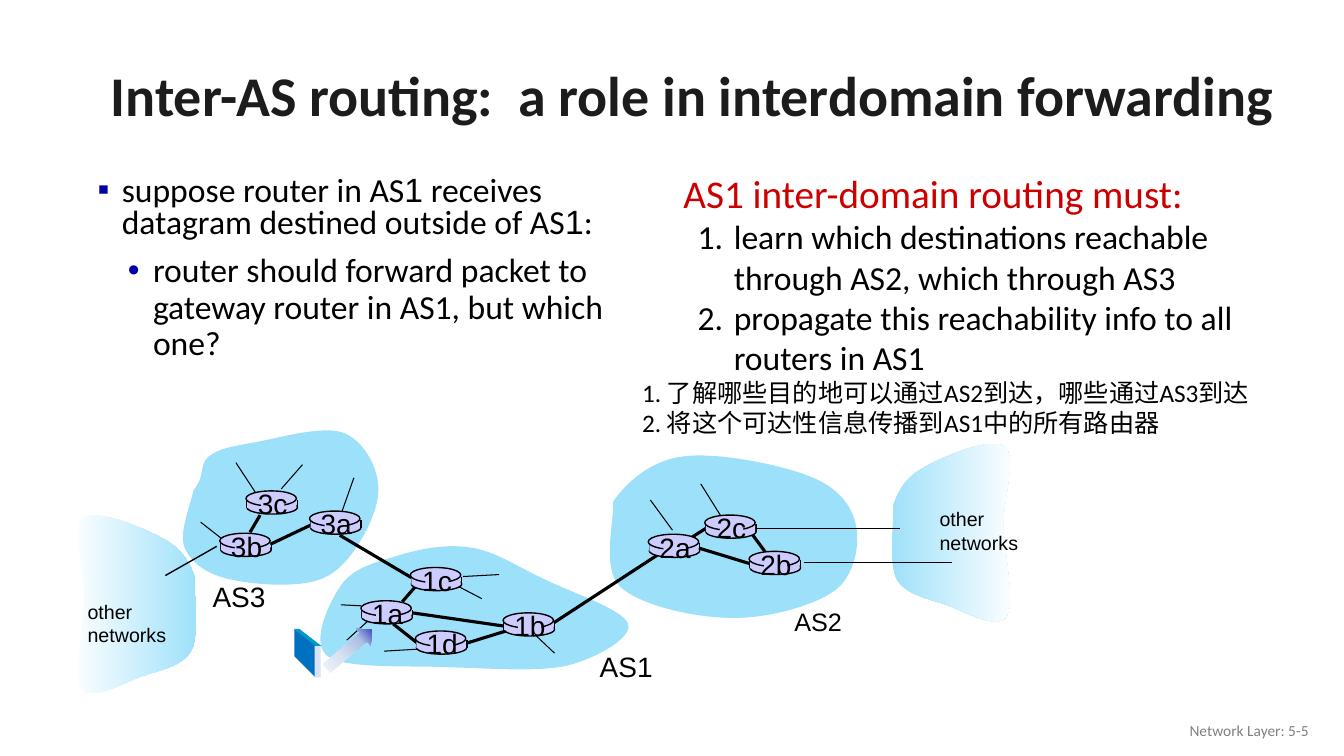
from dataclasses import dataclass
from typing import NamedTuple

from lxml.etree import SubElement as sub
from pptx import Presentation
from pptx.dml.color import RGBColor as Rgb
from pptx.enum.shapes import MSO_CONNECTOR as Joint, MSO_SHAPE as Kind
from pptx.enum.text import MSO_ANCHOR as Anchor, MSO_AUTO_SIZE as Fit, PP_ALIGN as Align
from pptx.oxml.ns import qn
from pptx.util import Inches, Pt

# Grid: 75 rows on the slide, with square cells
WIDE, HIGH = Inches(13.33), Inches(7.5)
CELL = HIGH / 75


@dataclass(frozen=True)
class Theme:
    sans: str = "Calibri"
    plain: str = "Arial"
    ink: str = "000000"
    head: str = "1C1C1C"
    grey: str = "808080"
    red: str = "CC0000"
    navy: str = "0000A3"
    deep: str = "0000A8"
    sky: str = "9CE0FA"
    white: str = "FFFFFF"
    lilac: str = "CCCCFF"
    blue: str = "0070C0"
    teal: str = "0099CC"
    pale: str = "DAE3F3"
    title: int = 40
    lead: int = 28
    body: int = 24
    tag: int = 20
    note: int = 18
    small: int = 14
    foot: int = 11


T = Theme()


class Box(NamedTuple):
    x: float
    y: float
    w: float
    h: float


class Router(NamedTuple):
    name: str
    x: float
    y: float


class Link(NamedTuple):
    x1: float
    y1: float
    x2: float
    y2: float


class Label(NamedTuple):
    lines: tuple
    box: Box
    size: int


class Cloud(NamedTuple):
    start: tuple
    curves: tuple  # x and y of two handles and an end point


def cells(*nums: float) -> list:
    return [round(n * CELL) for n in nums]


# Text
def write(frame, *runs: str, size=T.body, face=T.sans, alt=T.plain, color=T.ink,
          bold=False, align=Align.LEFT, space=None, left=0.0, hang=0.0,
          mark=None, tint=None) -> None:
    """Add one paragraph; every second run takes the alt face."""
    par = frame.paragraphs[0]
    if par.runs:
        par = frame.add_paragraph()
    props = par._p.get_or_add_pPr()
    if left:
        props.set("marL", str(cells(left)[0]))
        props.set("indent", str(cells(-hang)[0]))
    if tint:
        sub(sub(props, qn("a:buClr")), qn("a:srgbClr"), val=tint)
    if mark == "1.":
        sub(props, qn("a:buFont"), typeface="+mj-lt")
        sub(props, qn("a:buAutoNum"), type="arabicPeriod")
    elif mark:
        sub(props, qn("a:buFont"), typeface=T.plain)
        sub(props, qn("a:buChar"), char=mark)
    par.alignment = align
    if space:
        par.line_spacing = space
    for i, words in enumerate(runs):
        run = par.add_run()
        run.text = words
        font = run.font
        font.name = alt if i % 2 else face
        font.size, font.bold = Pt(size), bold
        font.color.rgb = Rgb.from_string(color)


def frame(slide, box: Box, wrap=True, grow=True, anchor=Anchor.TOP):
    body = slide.shapes.add_textbox(*cells(*box)).text_frame
    body.word_wrap = wrap
    body.auto_size = Fit.SHAPE_TO_FIT_TEXT if grow else Fit.NONE
    body.vertical_anchor = anchor
    return body


# Shapes
def strip(shape) -> None:
    """Drop the theme style, as fill and line are set in full."""
    style = shape._element.find(qn("p:style"))
    if style is not None:
        shape._element.remove(style)


def paint(shape, fill: str, edge: bool = False) -> None:
    strip(shape)
    shape.shadow.inherit = False
    shape.fill.solid()
    shape.fill.fore_color.rgb = Rgb.from_string(fill)
    if edge:
        shape.line.color.rgb = Rgb.from_string(T.ink)
        shape.line.width = Pt(1)
    else:
        shape.line.fill.background()


def blend(shape, *stops: tuple) -> None:
    paint(shape, T.white)
    shape.fill.gradient()
    shape.fill.gradient_angle = 0
    ramp = shape._element.spPr.find(qn("a:gradFill")).find(qn("a:gsLst"))
    ramp.clear()
    for pos, color in stops:
        sub(sub(ramp, qn("a:gs"), pos=str(pos * 1000)), qn("a:srgbClr"), val=color)


def solid(slide, kind, box: Box, fill: str, edge: bool = False):
    shape = slide.shapes.add_shape(kind, *cells(*box))
    paint(shape, fill, edge)
    return shape


def draw(slide, link: Link, width: float) -> None:
    line = slide.shapes.add_connector(Joint.STRAIGHT, *cells(*link))
    strip(line)
    line.line.color.rgb = Rgb.from_string(T.ink)
    line.line.width = Pt(width)
    sub(line._element.spPr, qn("a:effectLst"))


def outline(slide, points: list):
    pen = slide.shapes.build_freeform(*cells(*points[0]), scale=1.0)
    pen.add_line_segments([cells(*p) for p in points[1:]], close=True)
    return pen.convert_to_shape()


def knots(cloud: Cloud) -> list:
    return [cloud.start] + [c[i:i + 2] for c in cloud.curves for i in (0, 2, 4)]


def bend(slide, points: list):
    """Turn each three points after the first into one curve."""
    shape = outline(slide, points)
    legs = list(shape._element.iter(qn("a:lnTo")))
    for i in range(0, len(legs), 3):
        first, *rest = legs[i:i + 3]
        first.tag = qn("a:cubicBezTo")
        for leg in rest:
            first.append(leg[0])
            leg.getparent().remove(leg)
    return shape


def node(slide, spot: Router) -> None:
    name, x, y = spot
    solid(slide, Kind.OVAL, Box(x, y, 5, 1.3), T.lilac, True)
    for side in (x, x + 5):
        draw(slide, Link(side, y - 0.1, side, y + 0.7), 1)
    solid(slide, Kind.RECTANGLE, Box(x, y - 0.1, 4.9, 0.8), T.lilac)
    solid(slide, Kind.OVAL, Box(x - 0.1, y - 1, 5, 1.5), T.lilac, True)
    solid(slide, Kind.RECTANGLE, Box(x + 1.4, y - 0.8, 2.3, 1.9), T.lilac)
    write(frame(slide, Box(x, y - 1.9, 5.1, 4.3), wrap=False), name,
          size=T.tag, face=T.plain, align=Align.CENTER)


CLOUDS = (
    Cloud((60.8, 49.8), (
        (62.1, 47.9, 64.5, 45.7, 67.7, 45.3), (71, 44.8, 77.5, 46.1, 80.4, 47.3),
        (83.2, 48.4, 84.5, 50.2, 84.9, 52.1), (85.3, 54, 84.8, 57.1, 82.8, 58.6),
        (80.7, 60.1, 76.1, 61.4, 72.5, 61.3), (69, 61.3, 63.5, 60.1, 61.5, 58.2),
        (59.6, 56.3, 61, 51.5, 60.8, 49.8))),
    Cloud((19.2, 48.6), (
        (20.4, 47.3, 19.7, 46.1, 20.7, 45.3), (21.7, 44.5, 23, 44.3, 25.2, 43.9),
        (27.5, 43.5, 32.2, 42.1, 34.2, 43), (36.3, 43.9, 37.8, 46.9, 37.5, 49.2),
        (37.2, 51.6, 35, 55.7, 32.6, 57.1), (30.2, 58.5, 25.2, 58, 22.9, 57.5),
        (20.5, 57, 18.9, 55.8, 18.3, 54.3), (17.7, 52.8, 19, 49.8, 19.2, 48.6))),
    Cloud((33.8, 58.1), (
        (34.9, 56.5, 36.8, 55.9, 38.9, 55.3), (41, 54.6, 44, 53.9, 46.5, 54.3),
        (49.1, 54.6, 51.4, 56.3, 54.1, 57.5), (56.7, 58.8, 61.9, 60.5, 62.3, 61.9),
        (62.7, 63.3, 59.3, 65.2, 56.4, 66), (53.5, 66.7, 48.6, 66.3, 44.6, 66.2),
        (40.6, 66, 34.3, 66.4, 32.5, 65.1), (30.7, 63.7, 32.7, 59.7, 33.8, 58.1))))
OTHER = Cloud((19.3, 57.2), (
    (18.7, 55.6, 18, 54.4, 16.1, 53.4), (14.3, 52.4, 9.6, 50.4, 8.3, 51.4),
    (7, 52.4, 8.4, 56.4, 8.4, 59.2), (8.3, 62.1, 7.2, 67, 8.1, 68.3),
    (9, 69.6, 12.2, 67.8, 14, 67.1), (15.8, 66.5, 18.1, 66.1, 19, 64.5),
    (19.8, 62.8, 19.2, 58.8, 19.3, 57.2)))
ROUTERS = (
    Router("3b", 21.9, 53.9), Router("1d", 41.3, 63.6), Router("3a", 30.8, 51.7),
    Router("1c", 40.8, 57.3), Router("2a", 64.4, 54), Router("1a", 35.9, 60.6),
    Router("2c", 70, 52.1), Router("2b", 74.4, 55.7), Router("1b", 50, 61.8),
    Router("3c", 24.5, 49.7))
LINKS = {  # by line width
    2.25: ((69.4, 54.4, 74.3, 55.9), (74.6, 53, 76, 54.9), (68.3, 53.5, 70.2, 52.3),
           (46.3, 63.8, 50.5, 62.5), (39, 61.9, 41.4, 63.8), (40.9, 60.8, 49.9, 62.1),
           (39.9, 59.7, 41.2, 58.2), (26.8, 54, 30.8, 52.1), (33.7, 53.1, 40.8, 57.3),
           (54.9, 61.8, 65.3, 55), (25.8, 51.1, 24.8, 52.8)),
    0.75: ((19.9, 51.8, 22.2, 53.6), (30, 46.1, 27.9, 48.5), (23.4, 45.9, 25.3, 48.8),
           (35.1, 47.4, 33.9, 50.8), (71.5, 51.2, 69.5, 48), (66.7, 52.6, 64.5, 49.6),
           (36.5, 61.6, 34.4, 63.5), (35.8, 60.1, 33.8, 60), (41.5, 64.4, 38.1, 64.6),
           (45.9, 57.2, 49.5, 57), (53.1, 63, 55, 64.8), (45.5, 58.2, 47.8, 59.4),
           (74.9, 52.4, 89.3, 52.4), (79.7, 55.8, 94.4, 55.8)),
    1: ((21.5, 54.2, 16.4, 57.1),)}
LABELS = (
    Label(("AS3",), Box(20.1, 57, 7.3, 4.3), T.tag),
    Label(("AS1",), Box(58.5, 63.9, 7.3, 4.3), T.tag),
    Label(("AS2",), Box(77.8, 59.7, 6.7, 4), T.note),
    Label(("other", "networks"), Box(7.7, 59, 9.8, 5.7), T.small),
    Label(("other", "networks"), Box(92.2, 49.8, 9.8, 5.7), T.small))


def main() -> None:
    deck = Presentation()
    deck.slide_width, deck.slide_height = WIDE, HIGH
    slide = deck.slides.add_slide(deck.slide_layouts[5])

    # Title and footer
    title = slide.shapes.title
    title.left, title.top, title.width, title.height = cells(9.2, 4.9, 118.9, 9.8)
    head = title.text_frame
    head.auto_size, head.vertical_anchor, head.word_wrap = Fit.NONE, Anchor.MIDDLE, True
    write(head, "Inter-AS routing:  a role in interdomain forwarding", size=T.title,
          color=T.head, bold=True, align=Align.CENTER, space=0.9)
    write(frame(slide, Box(100.8, 70.5, 30, 4), grow=False, anchor=Anchor.MIDDLE),
          "Network Layer: 5-5", size=T.foot, color=T.grey, align=Align.RIGHT)

    # Clouds, the outer pair mirrored
    for cloud in CLOUDS:
        paint(bend(slide, knots(cloud)), T.sky)
    west = knots(OTHER)
    east = [(107.9 - x, y - 7.1) for x, y in west]
    blend(bend(slide, west), (0, T.white), (100, T.sky))
    blend(bend(slide, east), (0, T.sky), (100, T.white))

    # Network
    for width, links in LINKS.items():
        for ends in links:
            draw(slide, Link(*ends), width)
    for spot in ROUTERS:
        node(slide, spot)
    for lines, box, size in LABELS:
        body = frame(slide, box, wrap=False)
        for line in lines:
            write(body, line, size=size, face=T.plain)

    # Packet and its arrow
    arrow = solid(slide, Kind.RIGHT_ARROW, Box(31.7, 63.3, 5.9, 2.2), T.pale)
    arrow.rotation = 319.6
    blend(arrow, (0, "F6F8FC"), (35, T.pale), (68, "ABC0E4"), (100, T.deep))
    paint(outline(slide, [(29.2, 62.4), (29.2, 65.1), (31.3, 67.2), (31.3, 64)]), T.blue)
    paint(outline(slide, [(29.2, 62.4), (29.7, 62.4), (31.9, 64.1), (31.3, 64.1)]), T.teal)
    solid(slide, Kind.RECTANGLE, Box(31.2, 64.1, 0.6, 3.1), T.pale)

    # Left column
    write(frame(slide, Box(7.2, 17, 54.7, 7.9), grow=False),
          "suppose router in AS", "1", " receives datagram destined outside of AS", "1", ":",
          space=0.8, left=3.9, hang=2.4, mark="▪", tint=T.navy)
    write(frame(slide, Box(6.6, 24.7, 54.7, 21.9), grow=False),
          "router should forward packet to gateway router in AS1, but which one?",
          space=0.9, left=7.6, hang=2.5, mark="•", tint=T.deep)

    # Right column
    tasks = frame(slide, Box(66.8, 16.3, 60, 21.9))
    write(tasks, "AS1 inter-domain routing must:", size=T.lead, color=T.red, left=5, hang=5)
    for task in ("learn which destinations reachable through AS2, which through AS3",
                 "propagate this reachability info to all routers in AS1"):
        write(tasks, task, left=5, hang=3.6, mark="1.")
    notes = frame(slide, Box(62.7, 36.9, 62.3, 7.1))
    for line in ("1. 了解哪些目的地可以通过AS2到达，哪些通过AS3到达",
                 "2. 将这个可达性信息传播到AS1中的所有路由器"):
        write(notes, line, size=T.note)

    deck.save("out.pptx")


if __name__ == "__main__":
    main()
